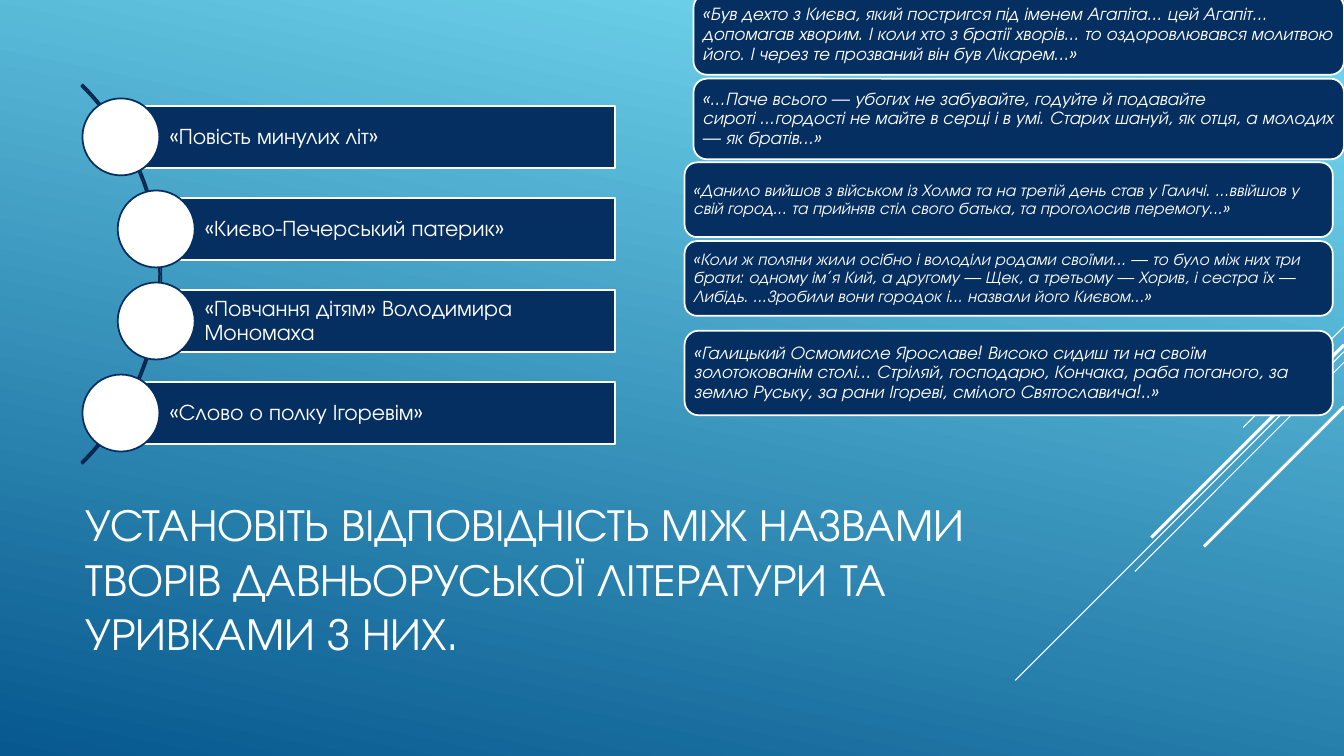
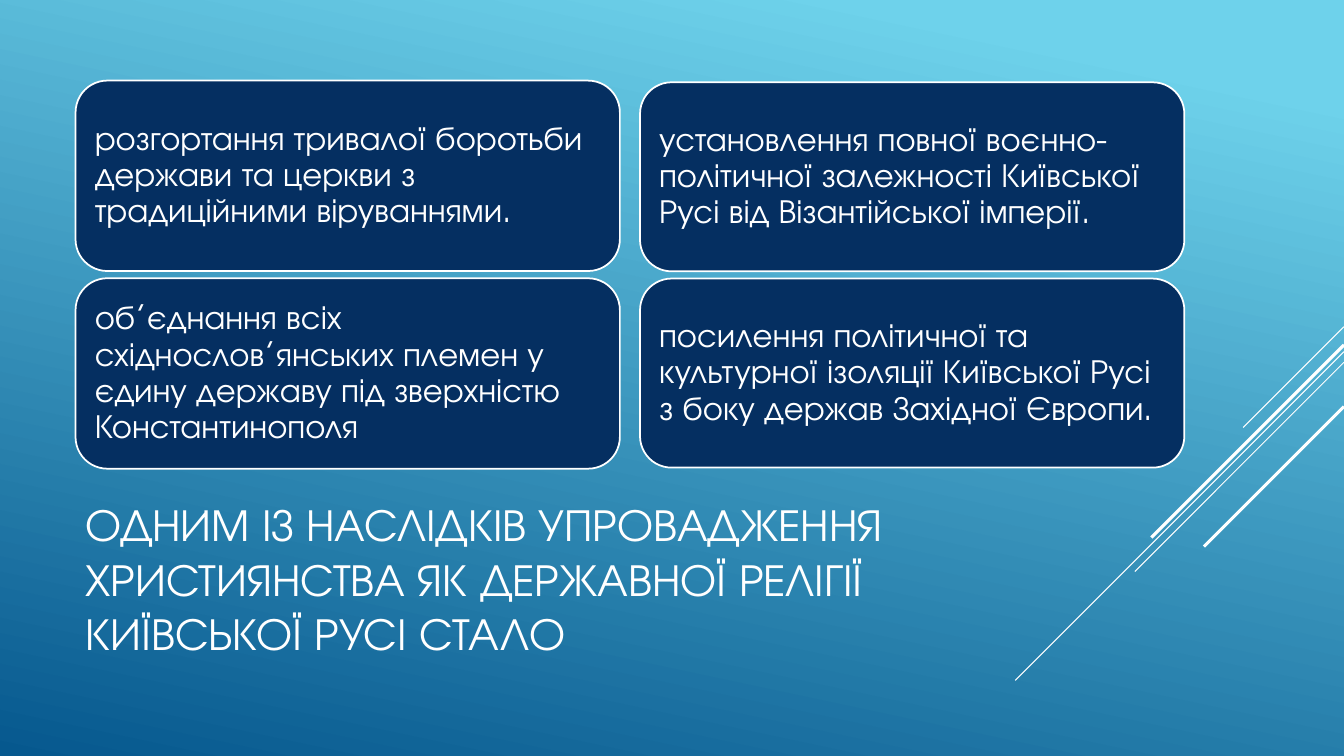
"""Builds two quiz slides on the literature and history of Kyivan Rus."""
import pptx
import pptx.dml.color
import pptx.enum.shapes
import pptx.enum.text
import pptx.oxml.ns
import pptx.util
from lxml import etree

Pt = pptx.util.Pt
SHAPE = pptx.enum.shapes.MSO_SHAPE
RGB = pptx.dml.color.RGBColor

WHITE = RGB(0xFF, 0xFF, 0xFF)
NAVY = RGB(0x05, 0x2F, 0x61)
ARC_NAVY = RGB(0x04, 0x26, 0x4E)
SKY = RGB(0x6E, 0xD2, 0xEB)
DEEP_BLUE = RGB(0x06, 0x58, 0x8E)
FONT = "TeX Gyre Adventor"
WIDTH, HEIGHT = 960, 540
TITLE_BOX = (54, 353.5, 672, 119)
TITLE_SIZE = 32.4
OUTLINE = 1.25

# Each ray runs down at 45 degrees from the right edge: top, length, weight.
RAYS = [
    (233.4, 72, 0.75),
    (251.2, 234.8, 0.75),
    (258.8, 149.4, 0.75),
    (246.4, 137.6, 2.25),
    (290.4, 100, 2.25),
]

MATCH_TITLE = "УСТАНОВІТЬ ВІДПОВІДНІСТЬ МІЖ НАЗВАМИ ТВОРІВ ДАВНЬОРУСЬКОЇ ЛІТЕРАТУРИ ТА УРИВКАМИ З НИХ."
WORKS = [
    ("«Повість минулих літ»", 86.4),
    ("«Києво-Печерський патерик»", 111.6),
    ("«Повчання дітям» Володимира Мономаха", 111.6),
    ("«Слово о полку Ігоревім»", 86.4),
]
QUOTE_STACKS = [
    dict(box=(495.4, -4.2, 464.6, 57.6), gap=2.8, size=13, texts=[
        "«Був дехто з Києва, який постригся під іменем Агапіта... цей Агапіт... допомагав хворим. "
        "І коли хто з братії хворів... то оздоровлювався молитвою його. "
        "І через те прозваний він був Лікарем...»",
        "«...Паче всього — убогих не забувайте, годуйте й подавайте сироті ...гордості не майте "
        "в серці і в умі. Старих шануй, як отця, а молодих — як братів...»",
    ]),
    dict(box=(489, 116, 463, 53.4), gap=2.8, size=12, texts=[
        "«Данило вийшов з військом із Холма та на третій день став у Галичі. "
        "...ввійшов у свій город... та прийняв стіл свого батька, та проголосив перемогу...»",
        "«Коли ж поляни жили осібно і володіли родами своїми... — то було між них три брати: "
        "одному ім’я Кий, а другому — Щек, а третьому — Хорив, і сестра їх — Либідь. "
        "...Зробили вони городок і... назвали його Києвом...»",
    ]),
    dict(box=(489, 236.2, 463, 60.4), gap=0, size=13, texts=[
        "«Галицький Осмомисле Ярославе! Високо сидиш ти на своїм золотокованім столі... "
        "Стріляй, господарю, Кончака, раба поганого, за землю Руську, за рани Ігореві, "
        "смілого Святославича!..»",
    ]),
]

RESULT_TITLE = "ОДНИМ ІЗ НАСЛІДКІВ УПРОВАДЖЕННЯ ХРИСТИЯНСТВА ЯК ДЕРЖАВНОЇ РЕЛІГІЇ КИЇВСЬКОЇ РУСІ СТАЛО"
ANSWER_STACKS = [
    dict(box=(54, 57.6, 388.8, 136), gap=5.2, size=24, texts=[
        "розгортання тривалої боротьби держави та церкви з традиційними віруваннями.",
        "об’єднання всіх східнослов’янських племен у єдину державу під зверхністю Константинополя",
    ]),
    dict(box=(457.2, 58.8, 388.8, 135), gap=5.2, size=24, texts=[
        "установлення повної воєнно-політичної залежності Київської Русі від Візантійської імперії.",
        "посилення політичної та культурної ізоляції Київської Русі з боку держав Західної Європи.",
    ]),
]


def add_shape(s, kind, box, fill, line):
    sp = s.shapes.add_shape(kind, *map(Pt, box))
    sp.shadow.inherit = False
    if fill is None:
        sp.fill.background()
    else:
        sp.fill.solid()
        sp.fill.fore_color.rgb = fill
    sp.line.color.rgb = line
    sp.line.width = Pt(OUTLINE)
    return sp


def set_text(sp, text, size, insets, spacing=0.9, italic=False):
    tf = sp.text_frame
    tf.text = text
    tf.word_wrap = True
    tf.auto_size = pptx.enum.text.MSO_AUTO_SIZE.NONE
    tf.vertical_anchor = pptx.enum.text.MSO_ANCHOR.MIDDLE
    tf.margin_left, tf.margin_top, tf.margin_right, tf.margin_bottom = map(Pt, insets)
    p = tf.paragraphs[0]
    p.alignment = pptx.enum.text.PP_ALIGN.LEFT
    p.line_spacing = spacing
    font = p.runs[0].font
    font.name, font.size, font.italic = FONT, Pt(size), italic
    font.color.rgb = WHITE


def add_stack(s, stack, inset, italic=False):
    left, top, width, height = stack["box"]
    for i, text in enumerate(stack["texts"]):
        y = top + i * (height + stack["gap"])
        sp = add_shape(s, SHAPE.ROUNDED_RECTANGLE, (left, y, width, height), NAVY, WHITE)
        set_text(sp, text, stack["size"], [inset] * 4, italic=italic)


def add_works(s):
    arc = add_shape(s, SHAPE.BLOCK_ARC, (-267.8, 4.3, 383, 383), None, ARC_NAVY)
    for i, value in enumerate((189, 27, 0.004)):
        arc.adjustments[i] = value
    right, top, pitch, height, dot = 439.2, 75.8, 65.75, 44, 55
    for i, (text, left) in enumerate(WORKS):
        y = top + i * pitch
        bar = add_shape(s, SHAPE.RECTANGLE, (left, y, right - left, height), NAVY, WHITE)
        set_text(bar, text, 16, (34.6, 2.9, 2.9, 2.9))
        circle = (left - dot / 2, y + (height - dot) / 2, dot, dot)
        add_shape(s, SHAPE.OVAL, circle, WHITE, NAVY)


def set_background(prs):
    fill = prs.slide_master.background.fill
    fill.gradient()
    fill.gradient_angle = 258
    for stop, position, color in zip(fill.gradient_stops, (0.1, 1), (SKY, DEEP_BLUE)):
        stop.position = position
        stop.color.rgb = color


def add_slide(prs, title):
    s = prs.slides.add_slide(prs.slide_layouts[5])
    for top, length, weight in RAYS:
        ends = (WIDTH, top, WIDTH - length, top + length)
        ray = s.shapes.add_connector(pptx.enum.shapes.MSO_CONNECTOR.STRAIGHT, *map(Pt, ends))
        ray.line.color.rgb = WHITE
        ray.line.width = Pt(weight)
        etree.SubElement(ray._element.spPr, pptx.oxml.ns.qn("a:effectLst"))
    sp = s.shapes.title
    sp.left, sp.top, sp.width, sp.height = map(Pt, TITLE_BOX)
    set_text(sp, title, TITLE_SIZE, (7.2, 3.6, 7.2, 3.6), spacing=1.0)
    return s


def main():
    prs = pptx.Presentation()
    prs.slide_width, prs.slide_height = Pt(WIDTH), Pt(HEIGHT)
    set_background(prs)

    s = add_slide(prs, MATCH_TITLE)
    add_works(s)
    for stack in QUOTE_STACKS:
        add_stack(s, stack, 3.6, italic=True)

    s = add_slide(prs, RESULT_TITLE)
    for stack in ANSWER_STACKS:
        add_stack(s, stack, 7.2)

    prs.save("out.pptx")


if __name__ == "__main__":
    main()
